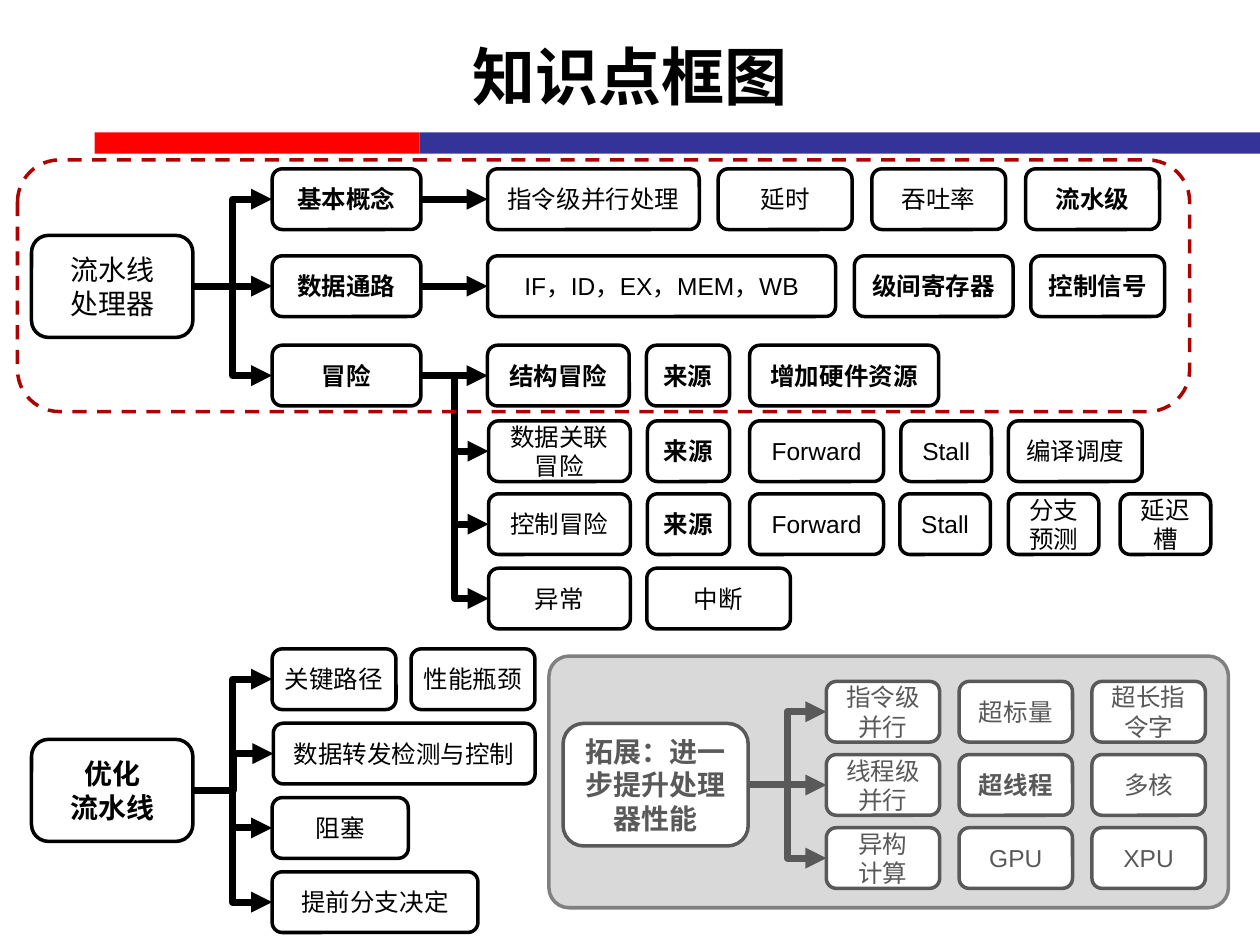
from lxml import etree
from pptx import Presentation
from pptx import util as u
from pptx.dml import color
from pptx.enum import dml, shapes, text
from pptx.oxml import ns

COLOURS = {
    "black": "000000", "white": "FFFFFF", "red": "FF0000", "blue": "333399",
    "dark_red": "AB0202", "panel": "D9D9D9", "panel_edge": "808080", "grey": "595959",
}
CJK_FONT = "Noto Sans CJK SC"
ROW_HEIGHT = 34.7
LEFT_SIDE, RIGHT_SIDE = 1, 3


def rgb(name):
    return color.RGBColor.from_string(COLOURS[name])


def write(box, content, size=14, bold=False, colour="black", font=None, inset=7.2):
    frame = box.text_frame
    frame.word_wrap = True
    frame.vertical_anchor = text.MSO_ANCHOR.MIDDLE
    frame.margin_left = frame.margin_right = u.Pt(inset)
    for index, line in enumerate(content.split("\n")):
        para = frame.add_paragraph() if index else frame.paragraphs[0]
        para.alignment = text.PP_ALIGN.CENTER
        span = para.add_run()
        span.text = line
        span.font.size = u.Pt(size)
        span.font.bold = bold
        span.font.color.rgb = rgb(colour)
        span.font.name = font or (CJK_FONT if bold else "Arial")
        east_asian = etree.SubElement(span.font._element, ns.qn("a:ea"))
        east_asian.set("typeface", CJK_FONT)


class Diagram:
    def __init__(self, page, colour="black"):
        self.page = page
        self.colour = colour

    def shape(self, kind, left, top, width, height, fill=None, line=None):
        box = self.page.shapes.add_shape(kind, *map(u.Pt, (left, top, width, height)))
        box.shadow.inherit = False
        if fill:
            box.fill.solid()
            box.fill.fore_color.rgb = rgb(fill)
        else:
            box.fill.background()
        if line:
            box.line.color.rgb = rgb(line)
            box.line.width = u.Pt(2)
        else:
            box.line.fill.background()
        return box

    def bar(self, left, width, fill):
        return self.shape(shapes.MSO_SHAPE.RECTANGLE, left, 75.6, width, 12.2, fill)

    def frame(self, left, top, width, height, fill=None, line=None):
        return self.shape(shapes.MSO_SHAPE.ROUNDED_RECTANGLE,
                          left, top, width, height, fill, line)

    def node(self, left, top, width, content, height=ROW_HEIGHT, **style):
        box = self.frame(left, top, width, height, "white", self.colour)
        write(box, content, colour=self.colour, **style)
        return box

    def row(self, top, cells):
        return [self.node(left, top, width, content, **(style[0] if style else {}))
                for left, width, content, *style in cells]

    def arrow(self, source, target, kind=shapes.MSO_CONNECTOR.ELBOW):
        link = self.page.shapes.add_connector(kind, 0, 0, 0, 0)
        link.begin_connect(source, RIGHT_SIDE)
        link.end_connect(target, LEFT_SIDE)
        link.line.color.rgb = rgb(self.colour)
        link.line.width = u.Pt(4)
        head = etree.SubElement(link.line._get_or_add_ln(), ns.qn("a:tailEnd"))
        head.set("type", "triangle")
        etree.SubElement(link._element.spPr, ns.qn("a:effectLst"))

    def branch(self, source, targets):
        for target in targets:
            self.arrow(source, target)

    def title(self, content):
        box = self.page.shapes.add_textbox(*map(u.Pt, (36, 10.8, 648, 64.8)))
        write(box, content, size=36, bold=True, font="Arial")


BOLD = {"bold": True}
TIGHT = {"inset": 2.9}

PIPELINE_ROWS = [
    (96.5, [(155.5, 85, "基本概念", BOLD), (278.6, 121, "指令级并行处理"),
            (410.4, 76.5, "延时"), (498.2, 76.5, "吞吐率"), (586.1, 76.5, "流水级", BOLD)]),
    (146.2, [(155.5, 85, "数据通路", BOLD), (278.6, 198.9, "IF，ID，EX，MEM，WB"),
             (488.2, 90.7, "级间寄存器", BOLD), (589, 76.5, "控制信号", BOLD)]),
    (197.3, [(155.5, 85, "冒险", BOLD), (278.6, 81, "结构冒险", BOLD),
             (369.4, 47.5, "来源", BOLD), (428.4, 108, "增加硬件资源", BOLD)]),
]
HAZARD_ROWS = [
    (240.5, [(279.2, 81, "数据关联冒险"), (370, 47, "来源", BOLD),
             (428.4, 76.5, "Forward"), (514.8, 51.8, "Stall"), (576.2, 76.5, "编译调度")]),
    (282.2, [(279.2, 81, "控制冒险"), (370, 47, "来源", BOLD),
             (428.4, 76.5, "Forward"), (514.2, 51.8, "Stall"),
             (576.2, 51.8, "分支预测"), (640.1, 51.8, "延迟槽")]),
    (324.7, [(279.2, 81, "异常"), (369.6, 82.1, "中断")]),
]
OPTIMISATION_ROWS = [
    (370.8, [(155.5, 70.8, "关键路径", TIGHT), (234.9, 70.8, "性能瓶颈", TIGHT)]),
    (413.3, [(156.2, 149.6, "数据转发检测与控制")]),
    (455.8, [(155.5, 77.8, "阻塞")]),
    (498.2, [(155.5, 117.6, "提前分支决定")]),
]
EXTENSION_GRID = [
    ["指令级\n并行", "超标量", "超长指令字"],
    ["线程级\n并行", "超线程", "多核"],
    ["异构\n计算", "GPU", "XPU"],
]


def main():
    deck = Presentation()
    deck.slide_width, deck.slide_height = u.Pt(720), u.Pt(540)
    page = deck.slides.add_slide(deck.slide_layouts[6])
    diagram = Diagram(page)

    diagram.bar(54, 185.8, "red")
    diagram.bar(239.8, 480.2, "blue")
    panel = diagram.frame(313.7, 374.9, 388.3, 143.8, "panel", "panel_edge")
    panel.adjustments[0] = 0.08
    diagram.title("知识点框图")

    pipeline = diagram.node(18, 134.5, 92.2, "流水线\n处理器", height=58.3, size=16)
    topics = [diagram.row(*row) for row in PIPELINE_ROWS]
    hazards = [diagram.row(*row) for row in HAZARD_ROWS]
    diagram.branch(pipeline, [topic[0] for topic in topics])
    for topic in topics:
        diagram.arrow(topic[0], topic[1], shapes.MSO_CONNECTOR.STRAIGHT)
    diagram.branch(topics[-1][0], [hazard[0] for hazard in hazards])
    scope = diagram.frame(10, 91.4, 669.8, 143.8, line="dark_red")
    scope.line.dash_style = dml.MSO_LINE.DASH

    optimisation = diagram.node(18, 422.5, 92.2, "优化\n流水线",
                                height=58.3, size=16, bold=True)
    methods = [diagram.row(*row) for row in OPTIMISATION_ROWS]
    diagram.branch(optimisation, [method[0] for method in methods])

    extension = Diagram(page, "grey")
    outlook = extension.node(321.8, 413.4, 105.8, "拓展：进一步提升处理器性能",
                             height=70, size=16, bold=True)
    directions = []
    for index, labels in enumerate(EXTENSION_GRID):
        cells = [(472.2 + 75.9 * column, 64.8, label, {"bold": label == "超线程"})
                 for column, label in enumerate(labels)]
        directions.append(extension.row(389.4 + 41.8 * index, cells)[0])
    extension.branch(outlook, directions)

    deck.save("out.pptx")


if __name__ == "__main__":
    main()
